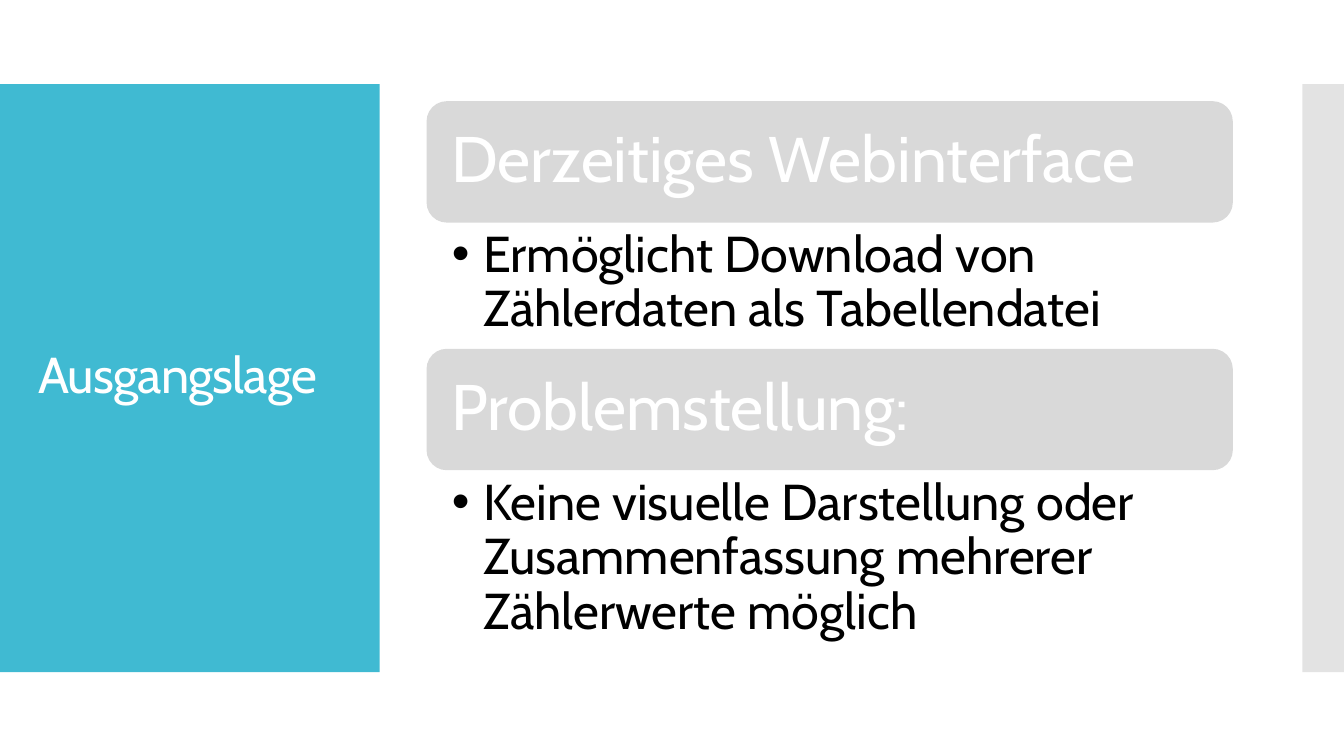
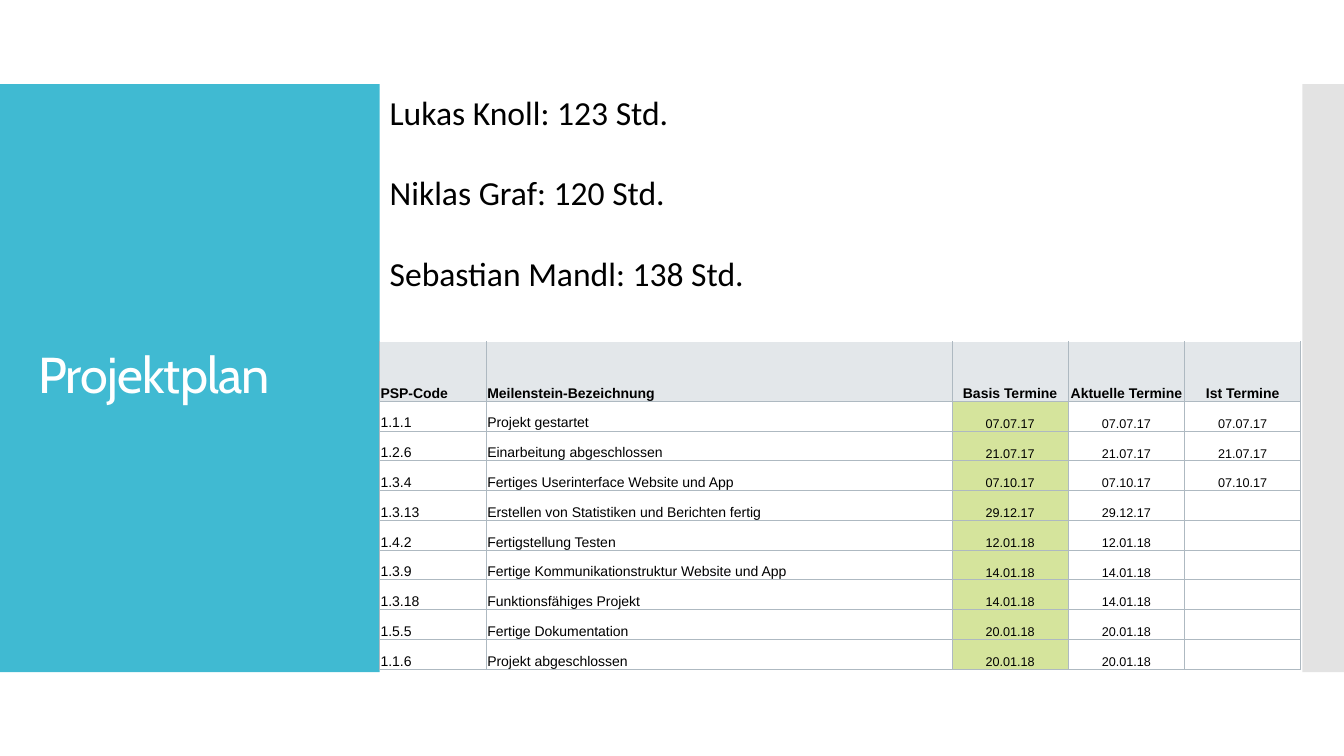
from lxml import etree
from pptx import Presentation
from pptx.dml.color import RGBColor
from pptx.enum.shapes import MSO_SHAPE
from pptx.enum.text import MSO_ANCHOR, MSO_AUTO_SIZE, PP_ALIGN
from pptx.oxml.ns import qn
from pptx.util import Cm, Pt

RECTANGLE = MSO_SHAPE.RECTANGLE
ROUNDED = MSO_SHAPE.ROUNDED_RECTANGLE
MIDDLE, BOTTOM = MSO_ANCHOR.MIDDLE, MSO_ANCHOR.BOTTOM
LEFT, CENTER = PP_ALIGN.LEFT, PP_ALIGN.CENTER
NO_AUTOFIT = MSO_AUTO_SIZE.NONE

COLORS = {
    "accent": "40BAD2", "edge": "C8C8C8", "card": "D9D9D9",
    "white": "FFFFFF", "black": "000000",
    "header": "E3E7EA", "baseline": "D5E49C", "border": "AEB9C1",
}
BAND_TOP, BAND_HEIGHT = 2.12, 14.82
BAND_WIDTH, EDGE_LEFT, EDGE_WIDTH = 9.57, 32.82, 1.05


def format_paragraph(paragraph, font, size, color, bold=False,
                     alignment=LEFT, line_spacing=None):
    paragraph.alignment = alignment
    paragraph.line_spacing = line_spacing
    for run in paragraph.runs:
        run.font.name = font
        run.font.size = Pt(size)
        run.font.bold = bold
        run.font.color.rgb = RGBColor.from_string(COLORS[color])


def add_filled_shape(slide, kind, left, top, width, height, color):
    shape = slide.shapes.add_shape(kind, Cm(left), Cm(top), Cm(width), Cm(height))
    shape.shadow.inherit = False
    shape.fill.solid()
    shape.fill.fore_color.rgb = RGBColor.from_string(COLORS[color])
    shape.line.fill.background()
    return shape


presentation = Presentation()
presentation.slide_width = Cm(33.87)
presentation.slide_height = Cm(19.05)
layout = presentation.slide_layouts[5]

# Shared title position
layout_title = layout.placeholders[0]
layout_title.left, layout_title.top = Cm(0.71), Cm(3.12)
layout_title.width, layout_title.height = Cm(8.18), Cm(12.78)

# Slides with their titles
slides = []
for title_text in ("Ausgangslage", "Projektplan"):
    slide = presentation.slides.add_slide(layout)
    title_frame = slide.shapes.title.text_frame
    title_frame.text = title_text
    title_frame.vertical_anchor = MIDDLE
    title_frame.auto_size = NO_AUTOFIT
    title_frame.word_wrap = True
    paragraph = title_frame.paragraphs[0]
    format_paragraph(paragraph, "Cabin", 36, "white", line_spacing=0.9)
    paragraph.runs[0].font._element.set("spc", "-60")
    slides.append(slide)
situation_slide, plan_slide = slides

# Shared bands, drawn once and moved to the layout behind the title
title_band = add_filled_shape(situation_slide, RECTANGLE, 0, BAND_TOP,
                              BAND_WIDTH, BAND_HEIGHT, "accent")
edge_band = add_filled_shape(situation_slide, RECTANGLE, EDGE_LEFT, BAND_TOP,
                             EDGE_WIDTH, BAND_HEIGHT, "edge")
edge_color = edge_band.element.spPr.find(f"{qn('a:solidFill')}/{qn('a:srgbClr')}")
etree.SubElement(edge_color, qn("a:alpha"), val="50000")
for band in (title_band, edge_band):
    layout.shapes.element.insert(2, band.element)

# Slide 1: headed cards with a bullet below each
CARD_LEFT, CARD_WIDTH, CARD_HEIGHT = 10.75, 20.32, 3.06
topics = [
    ("Derzeitiges Webinterface",
     "Ermöglicht Download von Zählerdaten als Tabellendatei", 3.18),
    ("Problemstellung:",
     "Keine visuelle Darstellung oder Zusammenfassung mehrerer Zählerwerte möglich",
     4.62),
]
top = 2.55
for heading, bullet, bullet_height in topics:
    card = add_filled_shape(situation_slide, ROUNDED, CARD_LEFT, top,
                            CARD_WIDTH, CARD_HEIGHT, "card")
    card_frame = card.text_frame
    card_frame.margin_left = card_frame.margin_right = Cm(0.48)
    card_frame.vertical_anchor = MIDDLE
    card_frame.text = heading
    format_paragraph(card_frame.paragraphs[0], "Cabin", 46, "white", line_spacing=0.9)
    top += CARD_HEIGHT

    bullet_box = situation_slide.shapes.add_textbox(
        Cm(CARD_LEFT), Cm(top), Cm(CARD_WIDTH), Cm(bullet_height))
    bullet_frame = bullet_box.text_frame
    bullet_frame.word_wrap = True
    bullet_frame.margin_left, bullet_frame.margin_right = Cm(0.64), Cm(0.91)
    bullet_frame.margin_top = bullet_frame.margin_bottom = Cm(0.16)
    bullet_frame.text = bullet
    paragraph = bullet_frame.paragraphs[0]
    format_paragraph(paragraph, "Cabin", 36, "black", line_spacing=0.9)
    properties = paragraph._p.get_or_add_pPr()
    properties.set("marL", str(int(Cm(0.79))))
    properties.set("indent", str(int(Cm(-0.79))))
    etree.SubElement(properties, qn("a:buFont"), typeface="Arial")
    etree.SubElement(properties, qn("a:buChar"), char="•")
    top += bullet_height

# Slide 2: milestone table
milestones = [
    ("PSP-Code", "Meilenstein-Bezeichnung", "Basis Termine", "Aktuelle Termine",
     "Ist Termine"),
    ("1.1.1", "Projekt gestartet", "07.07.17", "07.07.17", "07.07.17"),
    ("1.2.6", "Einarbeitung abgeschlossen", "21.07.17", "21.07.17", "21.07.17"),
    ("1.3.4", "Fertiges Userinterface Website und App", "07.10.17", "07.10.17",
     "07.10.17"),
    ("1.3.13", "Erstellen von Statistiken und Berichten fertig", "29.12.17",
     "29.12.17", ""),
    ("1.4.2", "Fertigstellung Testen", "12.01.18", "12.01.18", ""),
    ("1.3.9", "Fertige Kommunikationstruktur Website und App", "14.01.18",
     "14.01.18", ""),
    ("1.3.18", "Funktionsfähiges Projekt", "14.01.18", "14.01.18", ""),
    ("1.5.5", "Fertige Dokumentation", "20.01.18", "20.01.18", ""),
    ("1.1.6", "Projekt abgeschlossen", "20.01.18", "20.01.18", ""),
]
column_widths = [2.69, 11.73, 2.93, 2.93, 2.93]
row_heights = [1.5] + [0.75] * (len(milestones) - 1)
table = plan_slide.shapes.add_table(
    len(milestones), len(column_widths), Cm(BAND_WIDTH), Cm(8.61),
    Cm(sum(column_widths)), Cm(sum(row_heights))).table
table.first_row = table.horz_banding = False
for column, width in zip(table.columns, column_widths):
    column.width = Cm(width)
for row, height in zip(table.rows, row_heights):
    row.height = Cm(height)

for row_index, milestone in enumerate(milestones):
    is_header = row_index == 0
    for column_index, text in enumerate(milestone):
        is_date = column_index >= 2
        size = 9 if is_date and not is_header else 10
        cell = table.cell(row_index, column_index)
        cell.margin_left = cell.margin_right = cell.margin_top = Cm(0.02)
        cell.margin_bottom = 0
        cell.vertical_anchor = BOTTOM
        cell.text_frame.text = text
        paragraph = cell.text_frame.paragraphs[0]
        format_paragraph(paragraph, "Arial", size, "black", bold=is_header,
                         alignment=CENTER if is_date else LEFT)
        if not text:
            paragraph._p.get_or_add_endParaRPr().set("sz", str(size * 100))

        # Borders, with an open top edge on the header
        cell_properties = cell._tc.get_or_add_tcPr()
        for side in ("lnL", "lnR", "lnB") if is_header else ("lnL", "lnR", "lnT", "lnB"):
            border = etree.SubElement(cell_properties, qn(f"a:{side}"),
                                      w=str(int(Pt(0.5))))
            border_fill = etree.SubElement(border, qn("a:solidFill"))
            etree.SubElement(border_fill, qn("a:srgbClr"), val=COLORS["border"])

        if is_header or column_index == 2:
            cell.fill.solid()
            cell.fill.fore_color.rgb = RGBColor.from_string(
                COLORS["header" if is_header else "baseline"])
        else:
            cell.fill.background()

# Slide 2: working hours
hours_box = plan_slide.shapes.add_textbox(Cm(BAND_WIDTH), Cm(2.18), Cm(23.21), Cm(5.38))
hours_frame = hours_box.text_frame
hours_frame.word_wrap = True
hours_frame.text = "\n".join(
    ("Lukas Knoll: 123 Std.", "Niklas Graf: 120 Std.", "Sebastian Mandl: 138 Std."))
for paragraph in hours_frame.paragraphs:
    format_paragraph(paragraph, "Calibri", 24, "black")
    paragraph.space_after = Pt(29)

presentation.save("out.pptx")
